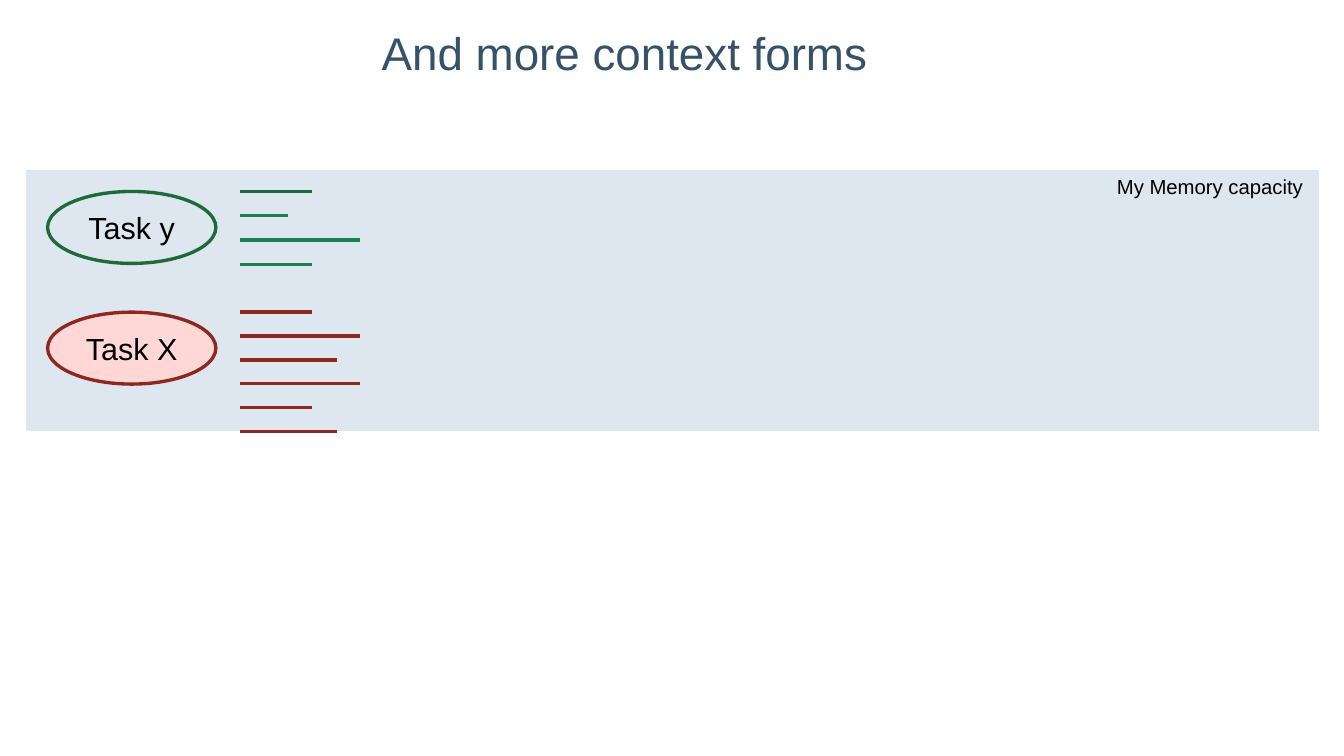
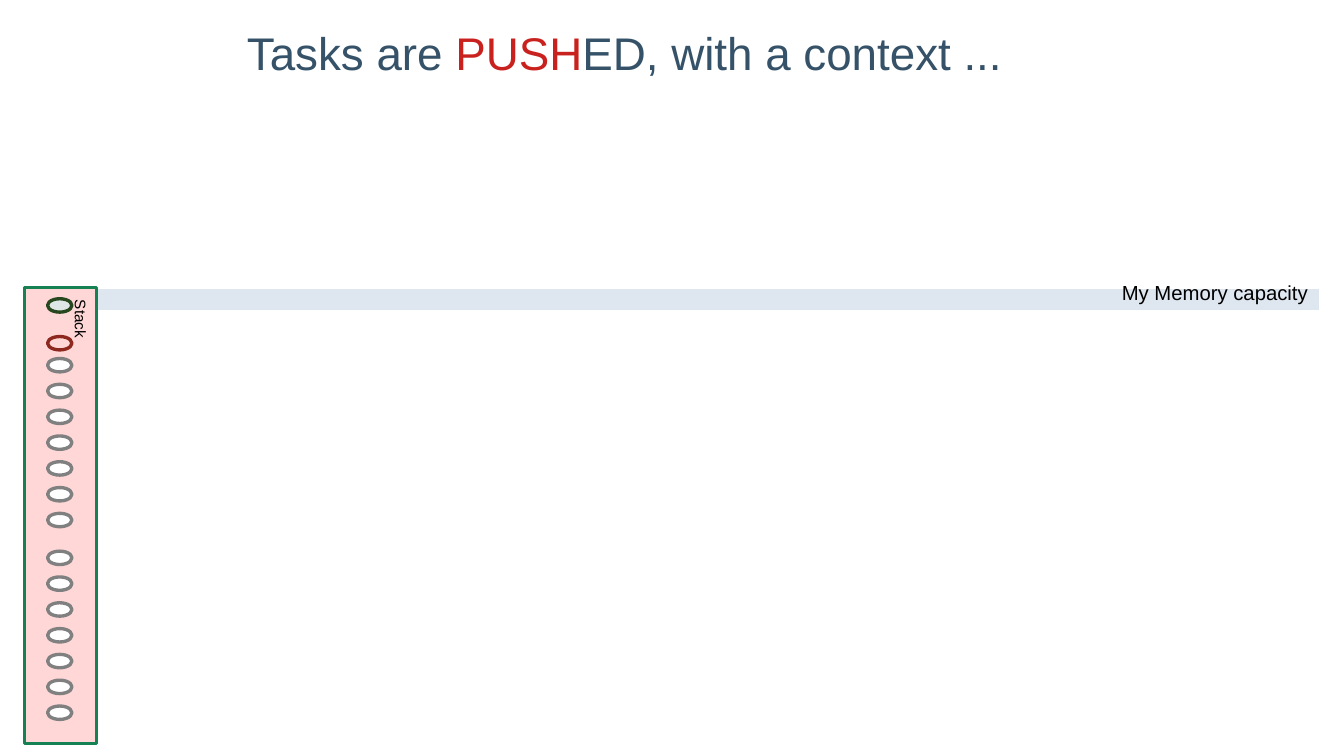
from pptx import Presentation
from pptx.dml.color import RGBColor
from pptx.enum.shapes import MSO_CONNECTOR as Conn, MSO_SHAPE as Geo
from pptx.enum.text import MSO_ANCHOR as Anchor, PP_ALIGN as Align
from pptx.oxml.ns import qn
from pptx.util import Inches, Pt
from lxml import etree

# Shared colours
NAVY, BLACK, WHITE, GRAY = "355269", "000000", "FFFFFF", "808080"
BAND, PINK, MINT = "DEE6EF", "FFD7D7", "DEE7E5"
RED, PUSH, GREEN, PINE, MOSS = "8D281E", "C9211E", "168253", "1E6A39", "28471F"


def rgb(code):
    return RGBColor.from_string(code)


def spread(first, last, count):
    """Evenly spaced positions from first to last."""
    return [first + (last - first) * i / (count - 1) for i in range(count)]


class Deck:
    font = "Arial"
    weight = Pt(1.98)

    def __init__(self):
        self.prs = Presentation()
        self.prs.slide_width = Inches(11.02)
        self.prs.slide_height = Inches(6.2)
        self.slide = None

    def start(self, *runs):
        """New slide with its title, given as (text, colour) runs."""
        self.slide = self.prs.slides.add_slide(self.prs.slide_layouts[6])
        box = self.slide.shapes.add_textbox(*map(Inches, (0.59, 0.2, 9.06, 1.38)))
        self.label(box, runs, 27, word_wrap=True, margin_left=0,
                   margin_right=0, margin_top=0, margin_bottom=0)

    def label(self, shape, runs, size, align=Align.CENTER, **form):
        frame = shape.text_frame
        for name, value in {"word_wrap": False, **form}.items():
            setattr(frame, name, value)
        para = frame.paragraphs[0]
        para.alignment = align
        for text, color in runs:
            run = para.add_run()
            run.text = text
            for name, value in {"name": self.font, "size": Pt(size)}.items():
                setattr(run.font, name, value)
            run.font.color.rgb = rgb(color)

    def shape(self, geo, at, fill, line):
        item = self.slide.shapes.add_shape(geo, *map(Inches, at))
        item.shadow.inherit = False
        item.fill.solid()
        item.fill.fore_color.rgb = rgb(fill)
        item.line.color.rgb = rgb(line)
        item.line.width = self.weight
        return item

    def memory(self, top, height, left, text_top):
        """Memory band with its label at the right end."""
        self.shape(Geo.RECTANGLE, (0.2, top, 10.63, height), BAND, WHITE)
        at = map(Inches, (left, text_top, 1.73, 0.29))
        box = self.slide.shapes.add_textbox(*at)
        self.label(box, [("My Memory capacity", BLACK)], 12, Align.LEFT)

    def task(self, text, top, fill, line):
        oval = self.shape(Geo.OVAL, (0.39, top, 1.38, 0.59), fill, line)
        self.label(oval, [(text, BLACK)], 18, vertical_anchor=Anchor.MIDDLE)

    def bar(self, top, end, color):
        ends = map(Inches, (1.97, top, end, top))
        line = self.slide.shapes.add_connector(Conn.STRAIGHT, *ends)
        line.line.color.rgb = rgb(color)
        line.line.width = self.weight
        etree.SubElement(line._element.spPr, qn("a:effectLst"))

    def dot(self, top, fill, line):
        self.shape(Geo.OVAL, (0.39, top, 0.2, 0.11), fill, line)

    def stack(self):
        item = self.shape(Geo.RECTANGLE, (0.2, 2.36, 0.59, 3.74), PINK, GREEN)
        self.label(item, [("Stack", BLACK)], 9, Align.RIGHT,
                   vertical_anchor=Anchor.TOP,
                   margin_left=Inches(0.05), margin_right=Inches(0.05),
                   margin_top=Inches(0.1), margin_bottom=Inches(0.1))
        item.text_frame._txBody.bodyPr.set("vert", "eaVert")


def main():
    deck = Deck()

    # Slide 1: two tasks, each with its context lines
    deck.start(("And more context forms", NAVY))
    deck.memory(1.38, 2.17, 9.06, 1.38)
    deck.task("Task X", 2.56, PINK, RED)
    ends = (2.56, 2.95, 2.76, 2.95, 2.56, 2.76)
    for top, end in zip(spread(2.56, 3.54, len(ends)), ends):
        deck.bar(top, end, RED)
    deck.task("Task y", 1.57, BAND, PINE)
    ends = (2.56, 2.36, 2.95, 2.56)
    colors = (PINE, GREEN, GREEN, GREEN)
    for top, end, color in zip(spread(1.57, 2.17, len(ends)), ends, colors):
        deck.bar(top, end, color)

    # Slide 2: tasks on the stack
    deck.start(("Tasks are ", NAVY), ("PUSH", PUSH), ("ED, with a context ...", NAVY))
    deck.memory(2.36, 0.2, 9.1, 2.25)
    deck.stack()
    deck.dot(2.76, PINK, RED)
    for top in spread(2.94, 4.21, 7) + spread(4.52, 5.79, 7):
        deck.dot(top, WHITE, GRAY)
    deck.dot(2.45, MINT, MOSS)

    deck.prs.save("out.pptx")


if __name__ == "__main__":
    main()
